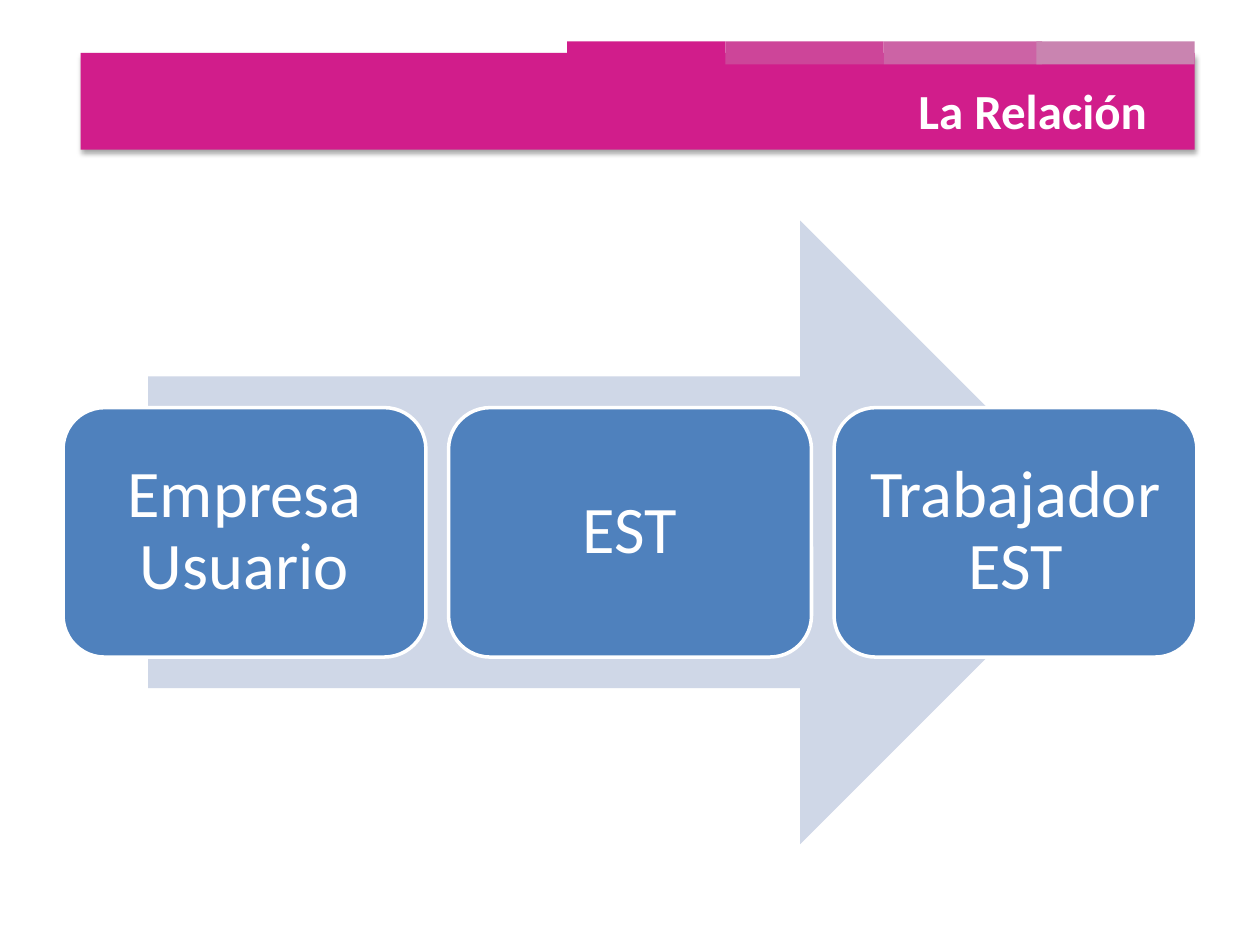
from lxml import etree
from pptx import Presentation
from pptx.dml.color import RGBColor
from pptx.enum import shapes, text
from pptx.oxml import parse_xml
from pptx.oxml.ns import nsdecls
from pptx.util import Pt

COLORS = {
    "banner": "D11D8B",
    "tabs": ["D11D8B", "CD4599", "CC63A5", "C984B0"],
    "arrow": "CFD7E7",
    "step": "4F81BD",
    "white": "FFFFFF",
    "shadow": "000000",
}
FONT = "Calibri"
STEPS = ["Empresa Usuario", "EST", "Trabajador EST"]
KIND = shapes.MSO_SHAPE


def add_block(parent, kind, box, color):
    """Add a flat, borderless shape."""
    sp = parent.add_shape(kind, *(Pt(v) for v in box))
    sp.shadow.inherit = False
    sp.fill.solid()
    sp.fill.fore_color.rgb = RGBColor.from_string(color)
    sp.line.fill.background()
    return sp


def set_font(p, size, bold=False):
    """Format a paragraph in white."""
    p.font.name = FONT
    p.font.size = Pt(size)
    p.font.bold = bold
    p.font.color.rgb = RGBColor.from_string(COLORS["white"])


def add_shadow(sp):
    """Give a shape a soft shadow below it."""
    effects = sp._element.spPr.find(
        "{http://schemas.openxmlformats.org/drawingml/2006/main}effectLst")
    effects.append(parse_xml(
        f'<a:outerShdw {nsdecls("a")} blurRad="{Pt(3.1)}" dist="{Pt(1.8)}" '
        f'dir="5400000" rotWithShape="0"><a:srgbClr val="{COLORS["shadow"]}">'
        '<a:alpha val="35000"/></a:srgbClr></a:outerShdw>'))


def build_header(s, x, y, w, h):
    """Draw the banner, its fading tabs and the title."""
    tab_top, tab_w, tab_h = y - 6.6, 90.5, 13.2
    add_shadow(add_block(s.shapes, KIND.RECTANGLE, (x, y, w, h), COLORS["banner"]))
    for i, color in enumerate(COLORS["tabs"]):
        left = min(x + 278 + i * tab_w, x + w - tab_w)
        add_block(s.shapes, KIND.RECTANGLE, (left, tab_top, tab_w, tab_h), color)

    title = s.shapes.title
    s.shapes._spTree.append(title._element)
    title.left, title.top = Pt(x + w - 275.7), Pt(y + 12.2)
    title.width, title.height = Pt(255.6), Pt(41.2)
    tf = title.text_frame
    tf.text = "La Relación"
    tf.auto_size = text.MSO_AUTO_SIZE.NONE
    tf.vertical_anchor = text.MSO_ANCHOR.TOP
    p = tf.paragraphs[0]
    p.alignment = text.PP_ALIGN.RIGHT
    set_font(p, 28, bold=True)


def build_process(s, x, y, w, h):
    """Draw the wide arrow with the steps spread evenly across it."""
    group = s.shapes.add_group_shape().shapes
    arrow_w = w * 0.85
    add_block(group, KIND.RIGHT_ARROW, (x + (w - arrow_w) / 2, y, arrow_w, h),
              COLORS["arrow"])
    step_w, step_h = 207.4, h * 0.4
    pitch = (w - step_w) / (len(STEPS) - 1)
    for i, label in enumerate(STEPS):
        sp = add_block(group, KIND.ROUNDED_RECTANGLE,
                       (x + i * pitch, y + (h - step_h) / 2, step_w, step_h),
                       COLORS["step"])
        sp.line.color.rgb = RGBColor.from_string(COLORS["white"])
        sp.line.width = Pt(2)
        tf = sp.text_frame
        tf.text = label
        tf.word_wrap = True
        tf.vertical_anchor = text.MSO_ANCHOR.MIDDLE
        tf.margin_left = tf.margin_right = Pt(11.4)
        tf.margin_top = tf.margin_bottom = Pt(11.4)
        p = tf.paragraphs[0]
        p.alignment = text.PP_ALIGN.CENTER
        p.line_spacing = 0.9
        set_font(p, 38)


def main():
    """Build and save the slide."""
    prs = Presentation()
    prs.slide_width, prs.slide_height = Pt(720), Pt(540)
    s = prs.slides.add_slide(prs.slide_layouts[5])
    build_header(s, 46, 30.2, 636.7, 55.4)
    build_process(s, 36, 126, 648, 356.4)
    prs.save("out.pptx")


if __name__ == "__main__":
    main()
